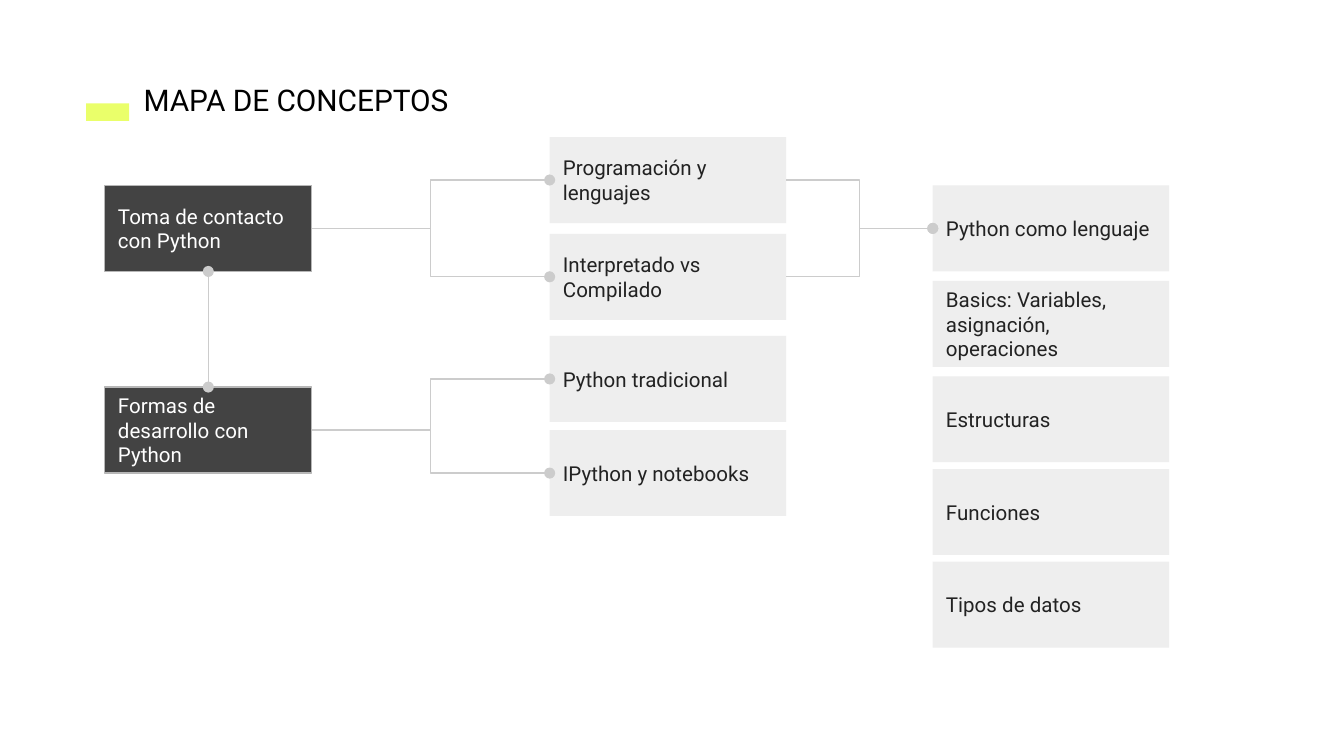
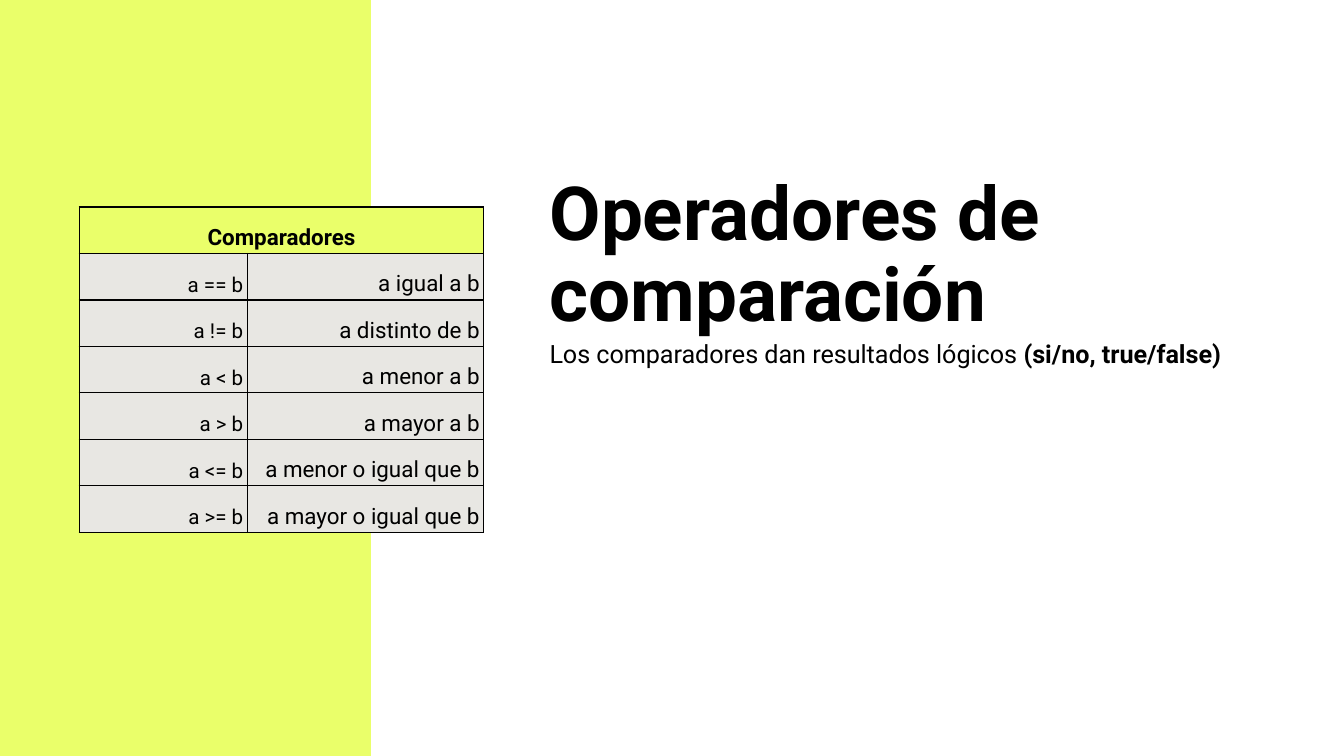
from lxml.etree import SubElement
from pptx import Presentation
from pptx.dml.color import RGBColor
from pptx.enum.shapes import MSO_CONNECTOR as LINK, MSO_SHAPE as SHAPE
from pptx.enum.text import MSO_ANCHOR as ANCHOR, PP_ALIGN as ALIGN
from pptx.oxml.ns import qn
from pptx.util import Inches, Pt

WIDTH = 10
HEIGHT = WIDTH * 9 / 16
FONT = "Roboto"
LIME, BLACK, WHITE = "EAFF6A", "000000", "FFFFFF"
DARK, DARK_EDGE, PALE, INK, WIRE, STONE = "434343", "B7B7B7", "EEEEEE", "222222", "CCCCCC", "E8E7E3"
TOP, LEFT, BOTTOM, RIGHT = range(4)

MAP_TITLE = "MAPA DE CONCEPTOS"
BOX_HEIGHT = 0.64
COLUMNS = [
    dict(left=0.78, width=1.54, fill=DARK, edge=DARK_EDGE, ink=WHITE, concepts=[
        ("Toma de contacto con Python", 1.38),
        ("Formas de desarrollo con Python", 2.88)]),
    dict(left=4.09, width=1.76, fill=PALE, edge=None, ink=INK, concepts=[
        ("Programación y lenguajes", 1.02),
        ("Interpretado vs Compilado", 1.74),
        ("Python tradicional", 2.5),
        ("IPython y notebooks", 3.2)]),
    dict(left=6.94, width=1.76, fill=PALE, edge=None, ink=INK, concepts=[
        ("Python como lenguaje", 1.38),
        ("Basics: Variables, asignación, operaciones", 2.09),
        ("Estructuras", 2.8),
        ("Funciones", 3.49),
        ("Tipos de datos", 4.18)]),
]
BRANCHES = [
    ("Toma de contacto con Python", "Programación y lenguajes"),
    ("Toma de contacto con Python", "Interpretado vs Compilado"),
    ("Programación y lenguajes", "Python como lenguaje"),
    ("Interpretado vs Compilado", "Python como lenguaje"),
    ("Formas de desarrollo con Python", "Python tradicional"),
    ("Formas de desarrollo con Python", "IPython y notebooks"),
]

OPERATORS_TITLE = "Operadores de comparación"
SUMMARY = [("Los comparadores dan resultados lógicos ", False), ("(si/no, true/false)", True)]
TABLE_TITLE = "Comparadores"
COMPARISONS = [
    ("a == b", "a igual a b"),
    ("a != b", "a distinto de b"),
    ("a < b", "a menor a b"),
    ("a > b", "a mayor a b"),
    ("a <= b", "a menor o igual que b"),
    ("a >= b", "a mayor o igual que b"),
]
TABLE_COLUMNS, TABLE_HEIGHT = (1.25, 1.76), 2.42


def rgb(code):
    return RGBColor.from_string(code)


def write(frame, runs, size, ink, align=ALIGN.LEFT, spacing=None):
    paragraph = frame.paragraphs[0]
    paragraph.alignment = align
    if spacing:
        paragraph.line_spacing = spacing
    for words, bold in runs:
        run = paragraph.add_run()
        run.text = words
        run.font.name, run.font.size, run.font.bold = FONT, Pt(size), bold
        run.font.color.rgb = rgb(ink)


def set_frame(frame, anchor):
    frame.word_wrap = True
    frame.vertical_anchor = anchor
    frame.margin_left = frame.margin_right = frame.margin_top = frame.margin_bottom = Inches(0.1)


def add_text(slide, place, runs, size, spacing=None):
    frame = slide.shapes.add_textbox(*map(Inches, place)).text_frame
    set_frame(frame, ANCHOR.TOP)
    write(frame, runs, size, BLACK, spacing=spacing)


def add_block(slide, place, fill, edge=None):
    block = slide.shapes.add_shape(SHAPE.RECTANGLE, *map(Inches, place))
    block.shadow.inherit = False
    block.fill.solid()
    block.fill.fore_color.rgb = rgb(fill)
    if edge:
        block.line.color.rgb = rgb(edge)
        block.line.width = Pt(0.75)
    else:
        block.line.fill.background()
    return block


def link(slide, kind, start, start_side, end, end_side, dots):
    wire = slide.shapes.add_connector(kind, 0, 0, 0, 0)
    wire.begin_connect(start, start_side)
    wire.end_connect(end, end_side)
    wire.line.color.rgb = rgb(WIRE)
    wire.line.width = Pt(0.75)
    outline = wire.line._get_or_add_ln()
    for dot in dots:
        SubElement(outline, qn(f"a:{dot}"), type="oval")
    SubElement(wire._element.spPr, qn("a:effectLst"))


def fill_cell(cell, words, size, fill, align, bold=False):
    cell.vertical_anchor = ANCHOR.BOTTOM
    cell.margin_left = cell.margin_right = Inches(0.03)
    cell.margin_top = cell.margin_bottom = Inches(0.02)
    properties = cell._tc.get_or_add_tcPr()
    for side in "LRTB":
        border = SubElement(properties, qn(f"a:ln{side}"), w=str(Pt(0.75)))
        SubElement(SubElement(border, qn("a:solidFill")), qn("a:srgbClr"), val=BLACK)
    cell.fill.solid()
    cell.fill.fore_color.rgb = rgb(fill)
    if words:
        write(cell.text_frame, [(words, bold)], size, BLACK, align, 1.15)


def build_map(slide):
    add_block(slide, (0.64, 0.77, 0.32, 0.13), LIME)
    add_text(slide, (0.97, 0.51, 2.69, 0.47), [(MAP_TITLE, False)], 16)
    boxes = {}
    for column in COLUMNS:
        for concept, top in column["concepts"]:
            place = column["left"], top, column["width"], BOX_HEIGHT
            box = add_block(slide, place, column["fill"], column["edge"])
            set_frame(box.text_frame, ANCHOR.MIDDLE)
            write(box.text_frame, [(concept, False)], 11, column["ink"])
            boxes[concept] = box
    first, second = (boxes[concept] for concept, _ in COLUMNS[0]["concepts"])
    link(slide, LINK.STRAIGHT, second, TOP, first, BOTTOM, ("headEnd", "tailEnd"))
    for start, end in BRANCHES:
        link(slide, LINK.ELBOW, boxes[start], RIGHT, boxes[end], LEFT, ("tailEnd",))


def build_operators(slide):
    add_block(slide, (0, 0, 2.76, HEIGHT), LIME)
    add_text(slide, (3.99, 1.21, 5.45, 3.23), [(OPERATORS_TITLE, True)], 40, 0.9)
    add_text(slide, (3.99, 2.42, 5.45, 0.66), SUMMARY, 13.5)
    count = len(COMPARISONS) + 1
    place = 0.59, 1.54, sum(TABLE_COLUMNS), TABLE_HEIGHT
    table = slide.shapes.add_table(count, len(TABLE_COLUMNS), *map(Inches, place)).table
    table.first_row = table.horz_banding = False
    for column, width in zip(table.columns, TABLE_COLUMNS):
        column.width = Inches(width)
    table.cell(0, 0).merge(table.cell(0, 1))
    for column, words in enumerate((TABLE_TITLE, "")):
        fill_cell(table.cell(0, column), words, 12, LIME, ALIGN.CENTER, True)
    for row, (expression, meaning) in enumerate(COMPARISONS, 1):
        fill_cell(table.cell(row, 0), expression, 11, STONE, ALIGN.RIGHT)
        fill_cell(table.cell(row, 1), meaning, 12, STONE, ALIGN.RIGHT)


def main():
    deck = Presentation()
    deck.slide_width, deck.slide_height = Inches(WIDTH), Inches(HEIGHT)
    for build in (build_map, build_operators):
        slide = deck.slides.add_slide(deck.slide_layouts[6])
        slide.background.fill.solid()
        slide.background.fill.fore_color.rgb = rgb(WHITE)
        build(slide)
    deck.save("out.pptx")


if __name__ == "__main__":
    main()
